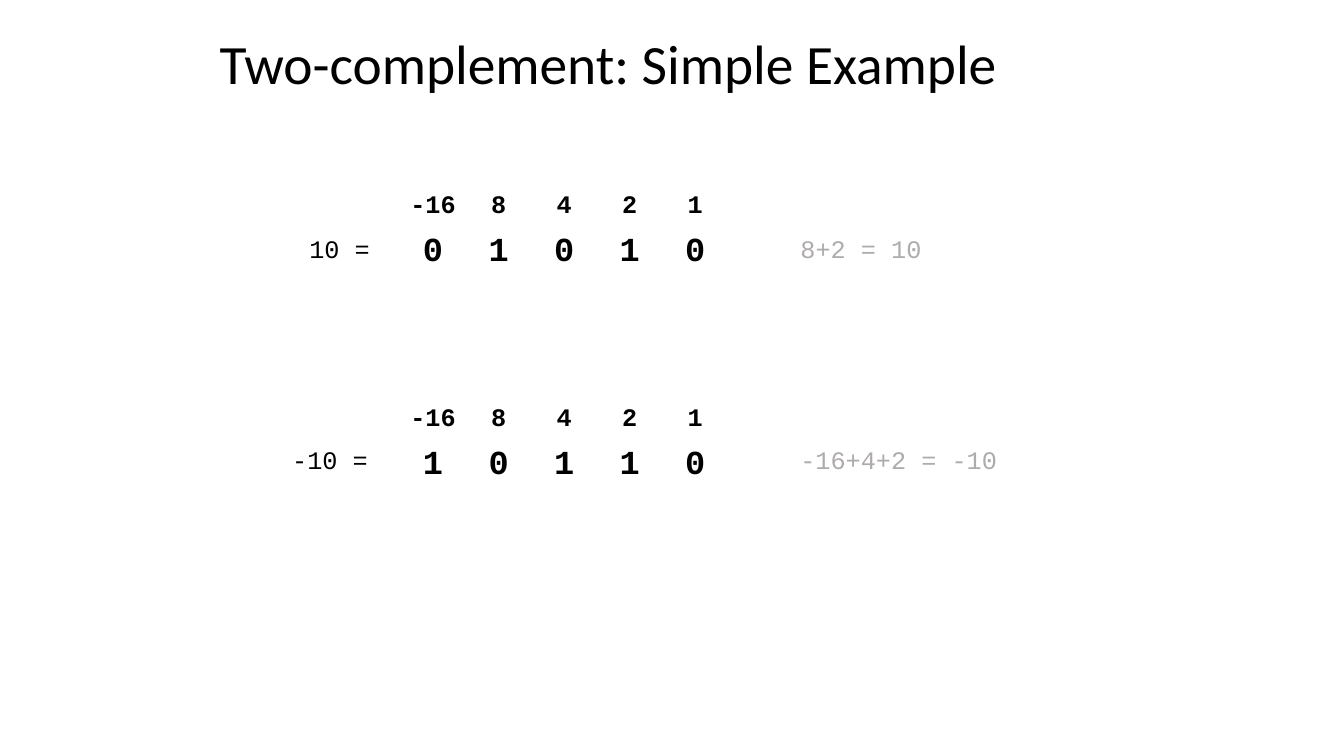
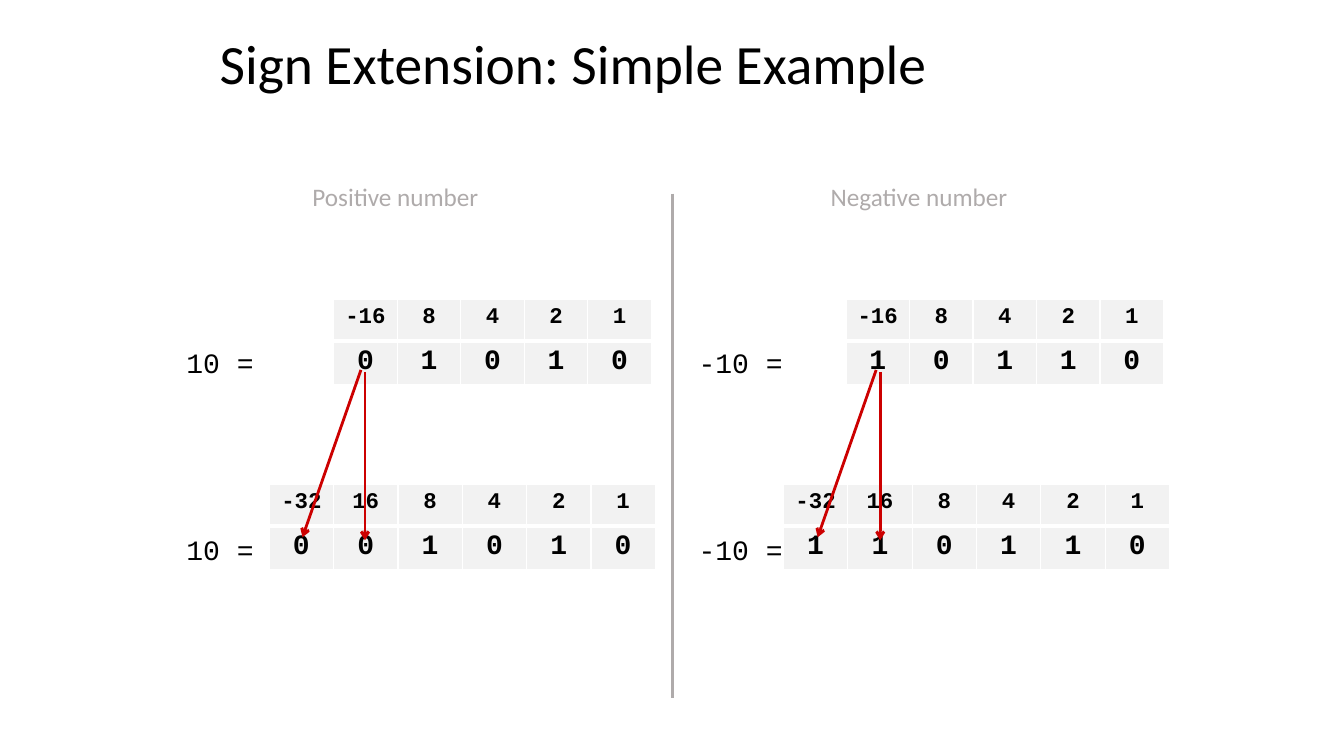
"""Build two slides on two-complement numbers and sign extension."""
from lxml import etree
from pptx import Presentation
from pptx.dml.color import RGBColor
from pptx.enum import shapes, text
from pptx.oxml import ns
from pptx.util import Inches, Pt

BLACK = RGBColor(0x00, 0x00, 0x00)
GRAY = RGBColor(0xAF, 0xAB, 0xAB)
PALE = RGBColor(0xF2, 0xF2, 0xF2)
RED = RGBColor(0xCC, 0x00, 0x00)
SANS, MONO = "Calibri", "Courier New"


def write(frame, words, size, font, color, bold=False):
    para = frame.paragraphs[0]
    run = para.add_run()
    run.text = words
    run.font.size, run.font.name, run.font.bold = Pt(size), font, bold
    run.font.color.rgb = color
    return para


def grid(slide, left, top, width, rows, sizes, fill=None):
    count = len(rows[0])
    frame = slide.shapes.add_table(2, count, Inches(left), Inches(top), Inches(width), Inches(0.82))
    table = frame.table
    table.first_row = table.horz_banding = False
    for col in table.columns:
        col.width = Inches(width / count)
    for r, row in enumerate(rows):
        table.rows[r].height = Inches(0.41)
        for c, word in enumerate(row):
            cell = table.cell(r, c)
            para = write(cell.text_frame, word, sizes[r], MONO, BLACK, True)
            para.alignment = text.PP_ALIGN.CENTER
            props = cell._tc.get_or_add_tcPr()
            for side in "LRTB":
                points = 3 if r == 0 and side == "B" else 1
                line = etree.SubElement(props, ns.qn(f"a:ln{side}"), w=str(Pt(points)))
                solid = etree.SubElement(line, ns.qn("a:solidFill"))
                etree.SubElement(solid, ns.qn("a:srgbClr"), val="FFFFFF")
            if fill is None:
                cell.fill.background()
            else:
                cell.fill.solid()
                cell.fill.fore_color.rgb = fill


deck = Presentation()
deck.slide_width, deck.slide_height = Inches(13.33), Inches(7.5)
pages = []
for title in ("Two-complement: Simple Example", "Sign Extension: Simple Example"):
    page = deck.slides.add_slide(deck.slide_layouts[6])
    box = page.shapes.add_textbox(Inches(2.08), Inches(0.35), Inches(9.58), Inches(0.63))
    box.text_frame.word_wrap = True
    box.text_frame.vertical_anchor = text.MSO_ANCHOR.MIDDLE
    write(box.text_frame, title, 39.6, SANS, BLACK).line_spacing = 0.9
    pages.append(page)
first, second = pages

PLACES = ["-16", "8", "4", "2", "1"]
WIDE = ["-32", "16", "8", "4", "2", "1"]
for top, bits in ((1.86, "01010"), (3.97, "10110")):
    grid(first, 3.97, top, 3.25, (PLACES, bits), (18, 24))

for left, wide, bits in ((3.31, 2.67, "01010"), (8.39, 7.77, "10110")):
    grid(second, left, 2.97, 3.15, (PLACES, bits), (16, 20), PALE)
    grid(second, wide, 4.81, 3.83, (WIDE, bits[0] + bits), (16, 20), PALE)

labels = [
    (first, 2.97, 2.27, 0.96, "10 = ", 18, MONO, BLACK),
    (first, 2.8, 4.36, 1.11, "-10 = ", 18, MONO, BLACK),
    (first, 7.84, 2.27, 1.41, "8+2 = 10", 18, MONO, GRAY),
    (first, 7.84, 4.36, 2.16, "-16+4+2 = -10", 18, MONO, GRAY),
    (second, 3, 1.75, 1.87, "Positive number", 18, SANS, GRAY),
    (second, 8.14, 1.75, 1.98, "Negative number", 18, SANS, GRAY),
]
for top in (3.38, 5.23):
    labels.append((second, 1.75, top, 1.04, "10 = ", 20, MONO, BLACK))
    labels.append((second, 6.83, top, 1.21, "-10 = ", 20, MONO, BLACK))
for page, left, top, width, words, size, font, color in labels:
    box = page.shapes.add_textbox(Inches(left), Inches(top), Inches(width), Inches(size / 45))
    box.text_frame.word_wrap = False
    box.text_frame.auto_size = text.MSO_AUTO_SIZE.SHAPE_TO_FIT_TEXT
    write(box.text_frame, words, size, font, color)

lines = [(6.67, 1.92, 6.67, 6.92, GRAY)]
for x in (3.62, 8.73):
    lines.append((x, 3.69, x, 5.36, RED))
    lines.append((x - 0.04, 3.67, x - 0.62, 5.33, RED))
for *ends, color in lines:
    link = second.shapes.add_connector(shapes.MSO_CONNECTOR.STRAIGHT, *map(Inches, ends))
    link.line.width = Pt(2)
    link.line.color.rgb = color
    if color == RED:
        etree.SubElement(link.line._get_or_add_ln(), ns.qn("a:tailEnd"), type="arrow")
    etree.SubElement(link._element.spPr, ns.qn("a:effectLst"))

deck.save("out.pptx")
